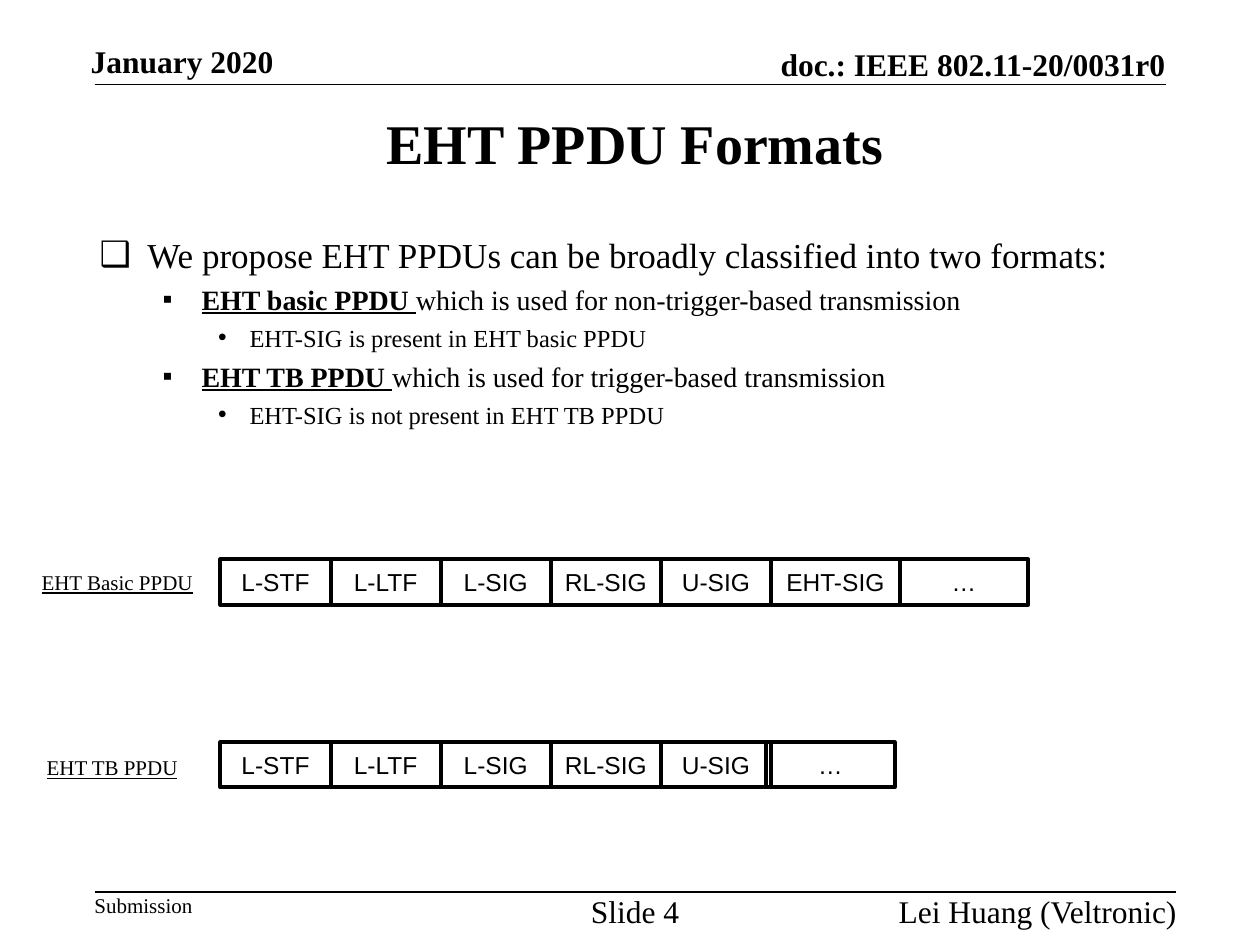
"""Build the slide on EHT PPDU formats."""
from dataclasses import dataclass

from lxml import etree
from pptx import Presentation
from pptx.dml.color import RGBColor
from pptx.enum.shapes import MSO_CONNECTOR, MSO_SHAPE
from pptx.enum.text import MSO_ANCHOR, MSO_AUTO_SIZE, PP_ALIGN
from pptx.oxml.ns import qn
from pptx.slide import Slide
from pptx.util import Inches, Pt

LEFT, CENTER, RIGHT = PP_ALIGN.LEFT, PP_ALIGN.CENTER, PP_ALIGN.RIGHT
TOP, MIDDLE, BOTTOM = MSO_ANCHOR.TOP, MSO_ANCHOR.MIDDLE, MSO_ANCHOR.BOTTOM
NO_AUTOSIZE = MSO_AUTO_SIZE.NONE
RECTANGLE = MSO_SHAPE.RECTANGLE
STRAIGHT = MSO_CONNECTOR.STRAIGHT

COLORS = {"ink": "000000"}
SERIF, SANS = "Times New Roman", "Arial"
ROW_LEFT, FIELD_WIDTH, WIDE_WIDTH, FIELD_HEIGHT = 1.75, 4.37 / 5, 1.02, 0.36
LEGACY_FIELDS = ("L-STF", "L-LTF", "L-SIG", "RL-SIG", "U-SIG")


@dataclass(frozen=True)
class Label:
    text: str
    left: float
    top: float
    width: float
    height: float
    size: int
    align: PP_ALIGN = LEFT
    anchor: MSO_ANCHOR = TOP
    bold: bool = False
    underline: bool = False


@dataclass(frozen=True)
class Level:
    bullet: str
    size: int
    margin: float
    hanging: float


@dataclass(frozen=True)
class Point:
    level: int
    text: str
    lead: str = ""


@dataclass(frozen=True)
class FrameRow:
    top: float
    wide_fields: tuple[str, ...]
    overlap: float = 0


LEVELS = (
    Level("❑", 20, 0.38, 0.38),
    Level("▪", 16, 0.81, 0.31),
    Level("•", 14, 1.19, 0.25),
)
POINTS = (
    Point(0, "We propose EHT PPDUs can be broadly classified into two formats:"),
    Point(1, "which is used for non-trigger-based transmission", "EHT basic PPDU "),
    Point(2, "EHT-SIG is present in EHT basic PPDU"),
    Point(1, "which is used for trigger-based transmission", "EHT TB PPDU "),
    Point(2, "EHT-SIG is not present in EHT TB PPDU"),
)
LABELS = (
    Label("January 2020", 0.72, 0.33, 3.61, 0.3, 18, anchor=BOTTOM, bold=True),
    Label("doc.: IEEE 802.11-20/0031r0", 5.66, 0.36, 3.59, 0.3, 18, RIGHT, BOTTOM, True),
    Label("Submission", 0.75, 7.08, 1, 0.2, 12),
    Label("Slide 4", 4.59, 7.08, 0.9, 0.2, 18, CENTER),
    Label("Lei Huang (Veltronic)", 6.33, 7.08, 3.01, 0.2, 18, RIGHT),
    Label("EHT Basic PPDU", 0.17, 4.47, 1.52, 0.3, 12, CENTER, MIDDLE, underline=True),
    Label("EHT TB PPDU", 0.13, 5.94, 1.52, 0.3, 12, CENTER, MIDDLE, underline=True),
)
ROWS = (
    FrameRow(4.44, ("EHT-SIG", "…")),
    FrameRow(5.89, ("…",), 0.04),
)
RULES = ((0.67, 9.25), (7.08, 9.33))


def color(name: str) -> RGBColor:
    return RGBColor.from_string(COLORS[name])


def style_font(font, size: int, name: str = SERIF, bold: bool = False,
               underline: bool = False) -> None:
    font.name, font.size = name, Pt(size)
    font.bold, font.underline = bold, underline
    font.color.rgb = color("ink")


def place(shape, left: float, top: float, width: float, height: float) -> None:
    shape.left, shape.top = Inches(left), Inches(top)
    shape.width, shape.height = Inches(width), Inches(height)


def clear_margins(frame) -> None:
    frame.margin_left = frame.margin_right = 0
    frame.margin_top = frame.margin_bottom = 0


def add_label(slide: Slide, label: Label) -> None:
    box = slide.shapes.add_textbox(Inches(label.left), Inches(label.top),
                                   Inches(label.width), Inches(label.height))
    frame = box.text_frame
    frame.word_wrap = True
    frame.vertical_anchor = label.anchor
    clear_margins(frame)
    frame.text = label.text
    paragraph = frame.paragraphs[0]
    paragraph.alignment = label.align
    style_font(paragraph.runs[0].font, label.size, bold=label.bold,
               underline=label.underline)


def add_rule(slide: Slide, top: float, right: float) -> None:
    rule = slide.shapes.add_connector(STRAIGHT, Inches(0.75), Inches(top),
                                      Inches(right), Inches(top))
    rule.line.color.rgb = color("ink")
    rule.line.width = Pt(1)
    etree.SubElement(rule._element.spPr, qn("a:effectLst"))


def fill_title(slide: Slide) -> None:
    title = slide.shapes.title
    place(title, 0.5, 0.75, 9.08, 0.75)
    frame = title.text_frame
    frame.text = "EHT PPDU Formats"
    frame.vertical_anchor = MIDDLE
    frame.auto_size = NO_AUTOSIZE
    frame.paragraphs[0].alignment = CENTER
    style_font(frame.paragraphs[0].runs[0].font, 32, bold=True)


def fill_body(slide: Slide) -> None:
    body = slide.placeholders[1]
    place(body, 0.69, 1.8, 8.59, 1.57)
    frame = body.text_frame
    frame.auto_size = NO_AUTOSIZE
    frame.text = "\n".join(point.lead or point.text for point in POINTS)
    for index, (paragraph, point) in enumerate(zip(frame.paragraphs, POINTS)):
        level = LEVELS[point.level]
        paragraph.level = point.level
        paragraph.space_before = Pt(4 if index else 0)
        properties = paragraph._p.get_or_add_pPr()
        properties.set("marL", str(Inches(level.margin)))
        properties.set("indent", str(-Inches(level.hanging)))
        etree.SubElement(properties, qn("a:buFont"), typeface=SANS)
        etree.SubElement(properties, qn("a:buChar"), char=level.bullet)
        emphasis = bool(point.lead)
        style_font(paragraph.runs[0].font, level.size, bold=emphasis, underline=emphasis)
        if emphasis:
            run = paragraph.add_run()
            run.text = point.text
            style_font(run.font, level.size)


def add_field(group, text: str, left: float, top: float, width: float) -> None:
    shape = group.shapes.add_shape(RECTANGLE, Inches(left), Inches(top),
                                   Inches(width), Inches(FIELD_HEIGHT))
    shape.shadow.inherit = False
    shape.fill.background()
    shape.line.color.rgb = color("ink")
    shape.line.width = Pt(2.25)
    frame = shape.text_frame
    clear_margins(frame)
    frame.vertical_anchor = MIDDLE
    frame.text = text
    frame.paragraphs[0].alignment = CENTER
    style_font(frame.paragraphs[0].runs[0].font, 14, SANS)


def add_frame_row(slide: Slide, row: FrameRow) -> None:
    group = slide.shapes.add_group_shape()
    for index, text in enumerate(LEGACY_FIELDS):
        add_field(group, text, ROW_LEFT + index * FIELD_WIDTH, row.top, FIELD_WIDTH)
    wide_left = ROW_LEFT + len(LEGACY_FIELDS) * FIELD_WIDTH - row.overlap
    for index, text in enumerate(row.wide_fields):
        add_field(group, text, wide_left + index * WIDE_WIDTH, row.top, WIDE_WIDTH)


def main() -> None:
    presentation = Presentation()
    presentation.slide_width, presentation.slide_height = Inches(10), Inches(7.5)
    slide = presentation.slides.add_slide(presentation.slide_layouts[1])
    for top, right in RULES:
        add_rule(slide, top, right)
    fill_title(slide)
    fill_body(slide)
    for row in ROWS:
        add_frame_row(slide, row)
    for label in LABELS:
        add_label(slide, label)
    presentation.save("out.pptx")


if __name__ == "__main__":
    main()
